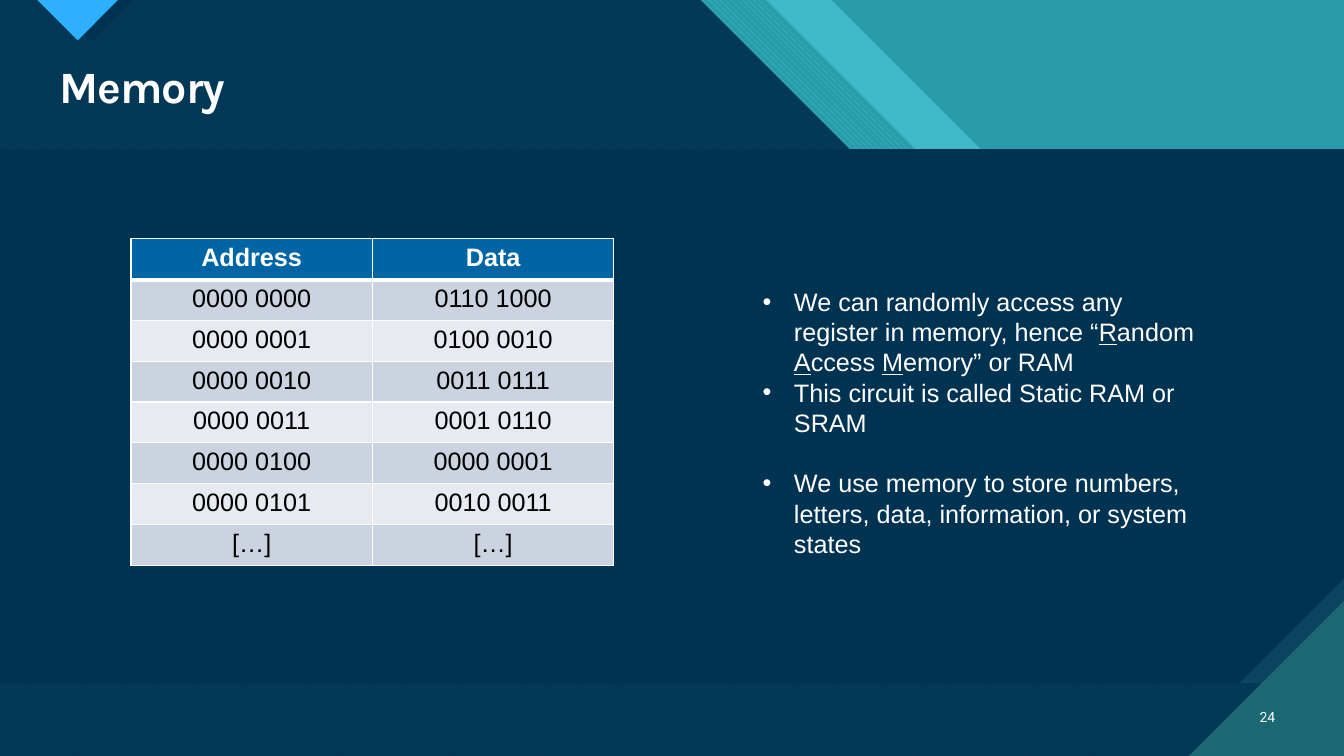
from dataclasses import dataclass, field

from lxml import etree
from pptx import Presentation
from pptx.dml.color import RGBColor
from pptx.enum.dml import MSO_PATTERN
from pptx.enum.text import MSO_ANCHOR, PP_ALIGN
from pptx.oxml.ns import qn
from pptx.util import Cm, Pt

LEFT, CENTER, RIGHT = PP_ALIGN.LEFT, PP_ALIGN.CENTER, PP_ALIGN.RIGHT
TOP, MIDDLE = MSO_ANCHOR.TOP, MSO_ANCHOR.MIDDLE
DOWN_STRIPES = MSO_PATTERN.WIDE_DOWNWARD_DIAGONAL
UP_STRIPES = MSO_PATTERN.WIDE_UPWARD_DIAGONAL

W, H = 33.87, 19.05
HEADER_BOTTOM, FOOTER_TOP = 3.76, 17.22
SNIP, CORNER = 2.65, 3.91

NAVY, WHITE, BLACK = "003352", "FFFFFF", "000000"
TEAL, AQUA, PINE = "299CAB", "47C3D3", "1B6872"
HEADER_BLUE, ROW_FILLS = "0065A4", ("CCD3E0", "E7EAF0")

TITLE_FONT = {"name": "Karla", "size": Pt(32), "bold": True}
NUMBER_FONT = {"name": "Roboto", "size": Pt(10)}
BODY_FONT = {"name": "Arial", "size": Pt(18)}
HEADER_FONT = {**BODY_FONT, "bold": True}

MEMORY = [
    ("Address", "Data"),
    ("0000 0000", "0110 1000"),
    ("0000 0001", "0100 0010"),
    ("0000 0010", "0011 0111"),
    ("0000 0011", "0001 0110"),
    ("0000 0100", "0000 0001"),
    ("0000 0101", "0010 0011"),
    ("[…]", "[…]"),
]


@dataclass
class Poly:
    points: list
    color: str
    alpha: int = 100
    pattern: object = None
    back: str = ""


@dataclass
class Para:
    runs: list
    align: object = LEFT
    bullet: bool = False
    fmt: dict = field(default_factory=dict)


@dataclass
class TextBox:
    box: tuple
    paras: list
    font: dict
    anchor: object = TOP


def rgb(color: str) -> RGBColor:
    return RGBColor.from_string(color)


def diagonal(x: float) -> list:
    return [(0, 0), (x, 0), (W, W - x), (W, H), (0, H)]


def set_font(font, fmt: dict, color: str) -> None:
    for name, value in fmt.items():
        setattr(font, name, value)
    font.color.rgb = rgb(color)


def add_poly(slide, poly: Poly) -> None:
    pts = [(Cm(x), Cm(y)) for x, y in poly.points]
    fb = slide.shapes.build_freeform(*pts[0], scale=1.0)
    fb.add_line_segments(pts[1:], close=True)
    sp = fb.convert_to_shape()
    sp.shadow.inherit = False
    sp.line.fill.background()
    if poly.pattern is None:
        sp.fill.solid()
    else:
        sp.fill.patterned()
        sp.fill.pattern = poly.pattern
        sp.fill.back_color.rgb = rgb(poly.back)
    sp.fill.fore_color.rgb = rgb(poly.color)
    if poly.alpha < 100:
        clr = sp._element.spPr.find(qn("a:solidFill"))[0]
        etree.SubElement(clr, qn("a:alpha"), val=str(poly.alpha * 1000))


def add_bullet(p) -> None:
    pPr = p._p.get_or_add_pPr()
    pPr.set("marL", str(Cm(0.79)))
    pPr.set("indent", str(-Cm(0.79)))
    etree.SubElement(pPr, qn("a:buFont"), typeface="Arial")
    etree.SubElement(pPr, qn("a:buChar"), char="•")


def add_text(slide, item: TextBox):
    sp = slide.shapes.add_textbox(*map(Cm, item.box))
    tf = sp.text_frame
    tf.word_wrap = True
    tf.vertical_anchor = item.anchor
    for i, para in enumerate(item.paras):
        p = tf.add_paragraph() if i else tf.paragraphs[0]
        p.alignment = para.align
        for name, value in para.fmt.items():
            setattr(p, name, value)
        if para.bullet:
            add_bullet(p)
        for text, underline in para.runs:
            r = p.add_run()
            r.text = text
            set_font(r.font, {**item.font, "underline": underline}, WHITE)
    return sp


def add_border(cell, side: str, width: float) -> None:
    ln = etree.Element(qn(f"a:{side}"), w=str(Pt(width)))
    fill = etree.SubElement(ln, qn("a:solidFill"))
    etree.SubElement(fill, qn("a:srgbClr"), val=WHITE)
    tcPr = cell._tc.get_or_add_tcPr()
    tcPr.insert(len(tcPr.findall("*")) - 1, ln)


def add_memory_table(slide) -> None:
    box = map(Cm, (3.3, 6.02, 12.17, 8.23))
    tbl = slide.shapes.add_table(len(MEMORY), 2, *box).table
    for i, row in enumerate(MEMORY):
        header = i == 0
        for j, text in enumerate(row):
            cell = tbl.cell(i, j)
            cell.fill.solid()
            cell.fill.fore_color.rgb = rgb(HEADER_BLUE if header else ROW_FILLS[(i - 1) % 2])
            widths = {"lnL": 1, "lnR": 1, "lnT": 3 if i == 1 else 1, "lnB": 3 if header else 1}
            for side, width in widths.items():
                add_border(cell, side, width)
            p = cell.text_frame.paragraphs[0]
            p.alignment = CENTER
            r = p.add_run()
            r.text = text
            set_font(r.font, HEADER_FONT if header else {**BODY_FONT, "bold": False},
                     WHITE if header else BLACK)


POLYS = [
    Poly([(0, 0), (W, 0), (W, H), (0, H)], TEAL),
    Poly(diagonal(20.96), AQUA, alpha=74),
    Poly(diagonal(19.31), AQUA, pattern=DOWN_STRIPES, back=TEAL),
    Poly(diagonal(17.65), AQUA, pattern=UP_STRIPES, back=PINE),
    Poly(diagonal(17.65), NAVY, alpha=90),
    Poly([(1.22, 0), (3.33, 0), (2.29, 1.04)], NAVY),
    Poly([(0.94, 0), (2.97, 0), (1.96, 1.02)], "2FAFFF"),
    Poly([(0, HEADER_BOTTOM), (W, HEADER_BOTTOM), (W, FOOTER_TOP), (0, FOOTER_TOP)], "0C4360"),
    Poly([(0, HEADER_BOTTOM), (W, HEADER_BOTTOM), (W, FOOTER_TOP - SNIP),
          (W - SNIP, FOOTER_TOP), (0, FOOTER_TOP)], NAVY),
    Poly([(W - CORNER, H), (W, H), (W, H - CORNER)], PINE),
]

TITLE = TextBox((1.24, 1.5, 31.14, 1.5),
                [Para([("Memory", False)], fmt={"line_spacing": 0.9})], TITLE_FONT)
NUMBER = TextBox((31.27, 17.55, 1.12, 1.02), [Para([("24", False)], RIGHT)], NUMBER_FONT, MIDDLE)
NOTES = TextBox((18.97, 7.09, 11.4, 7.19), [
    Para([("We can randomly access any register in memory, hence “", False), ("R", True),
          ("andom ", False), ("A", True), ("ccess ", False), ("M", True),
          ("emory” or RAM", False)], bullet=True),
    Para([("This circuit is called Static RAM or SRAM", False)], bullet=True),
    Para([("We use memory to store numbers, letters, data, information, or system states", False)],
         bullet=True, fmt={"space_before": Pt(21.6)}),
], BODY_FONT)


def main() -> None:
    prs = Presentation()
    prs.slide_width, prs.slide_height = Cm(W), Cm(H)
    slide = prs.slides.add_slide(prs.slide_layouts[6])
    for poly in POLYS:
        add_poly(slide, poly)
    title = add_text(slide, TITLE)
    title.text_frame.paragraphs[0].runs[0].font._element.set("spc", "-70")
    add_text(slide, NUMBER)
    add_memory_table(slide)
    add_text(slide, NOTES)
    prs.save("out.pptx")


if __name__ == "__main__":
    main()
